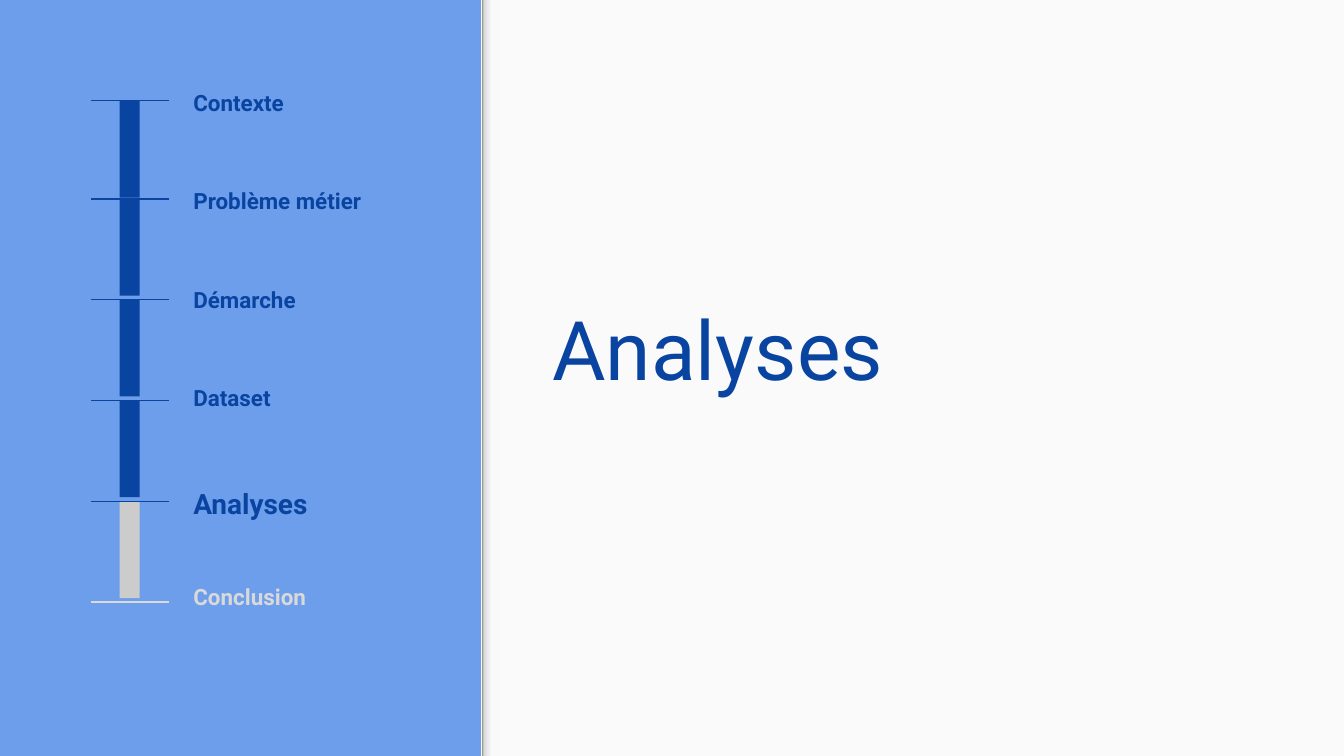
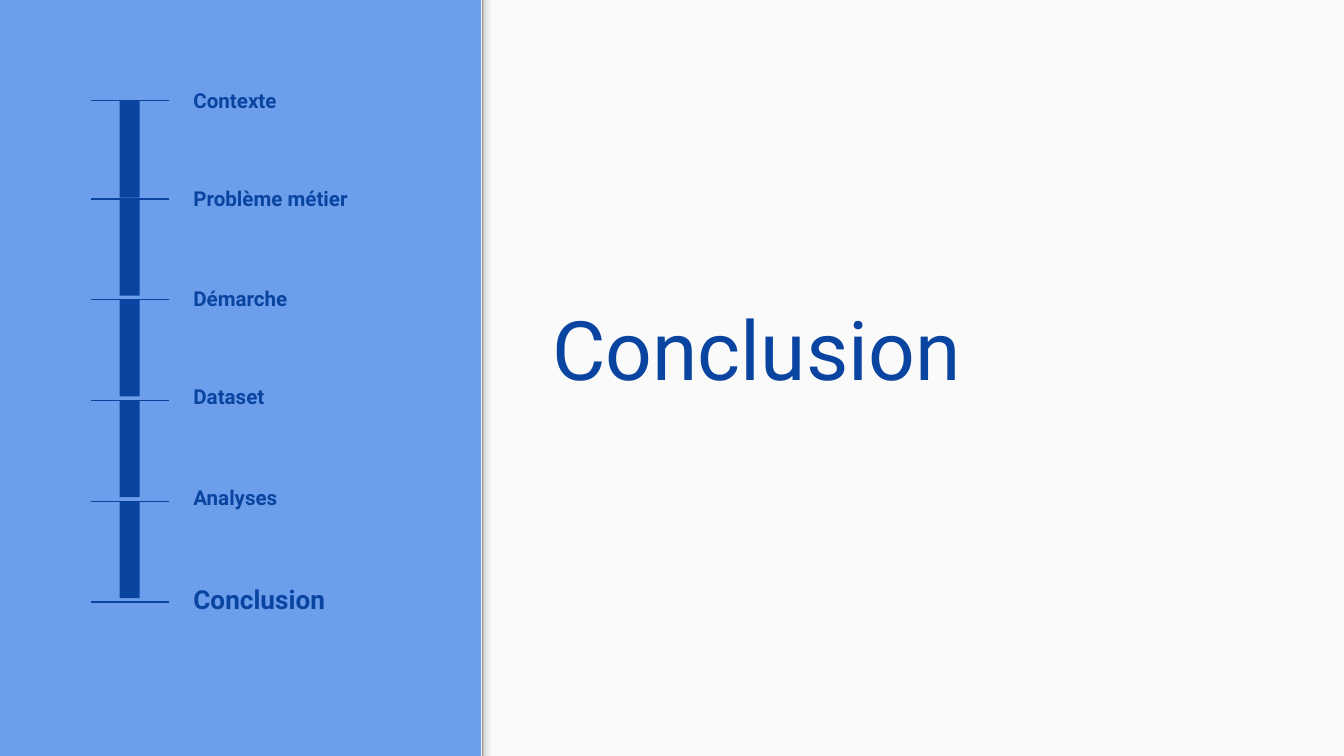
from dataclasses import dataclass

from lxml import etree
from pptx import Presentation
from pptx.dml.color import RGBColor
from pptx.enum.shapes import MSO_CONNECTOR, MSO_SHAPE
from pptx.enum.text import MSO_ANCHOR, MSO_AUTO_SIZE, PP_ALIGN
from pptx.oxml.ns import qn
from pptx.util import Pt

RECTANGLE, STRAIGHT = MSO_SHAPE.RECTANGLE, MSO_CONNECTOR.STRAIGHT
TOP, LEFT = MSO_ANCHOR.TOP, PP_ALIGN.LEFT
GROW = MSO_AUTO_SIZE.SHAPE_TO_FIT_TEXT
PX = 4572  # EMU; 200 px to the inch


@dataclass(frozen=True)
class Theme:
    font: str = "Roboto"
    background: str = "6D9EEB"
    panel: str = "FAFAFA"
    reached: str = "0944A1"
    pending_bar: str = "CCCCCC"
    pending_text: str = "D9D9D9"
    edge_stops: tuple = ((0, "F9F9F9"), (36, "F9F9F9"), (80, "DEDEDE"), (100, "999999"))
    title_size: int = 44
    tick_width: float = 0.75
    current_extra: int = 3


THEME = Theme()
SLIDE_W, SLIDE_H = 2000, 1125
PANEL_X, EDGE_W = 716, 24
TICK_LEFT, TICK_RIGHT = 136, 252
BAR_X, BAR_W, BAR_H = 178, 30, 144
LABEL_X, LABEL_W, LABEL_H = 268, 596, 60
INSET = 20
TITLE_INDENT = 78

# Step name, top of its tick and bar, top of its label
STEPS = [
    ("Contexte", 150, 106),
    ("Problème métier", 296, 252),
    ("Démarche", 446, 400),
    ("Dataset", 596, 546),
    ("Analyses", 746, 696),
    ("Conclusion", 896, 842),
]
# Current step, label size
SECTIONS = [(4, 12), (5, 11)]


def add_block(slide, x, y, w, h, colour):
    """Add a borderless, shadowless rectangle."""
    block = slide.shapes.add_shape(RECTANGLE, x * PX, y * PX, w * PX, h * PX)
    block.shadow.inherit = False
    block.line.fill.background()
    block.fill.solid()
    block.fill.fore_color.rgb = RGBColor.from_string(colour)
    return block


def write(frame, text, size, colour, bold):
    frame.text = text
    frame.word_wrap = True
    frame.vertical_anchor = TOP
    frame.margin_left = frame.margin_right = INSET * PX
    frame.margin_top = frame.margin_bottom = INSET * PX
    paragraph = frame.paragraphs[0]
    paragraph.alignment = LEFT
    font = paragraph.runs[0].font
    font.name, font.size, font.bold = THEME.font, Pt(size), bold
    font.color.rgb = RGBColor.from_string(colour)
    return paragraph


prs = Presentation()
prs.slide_width, prs.slide_height = SLIDE_W * PX, SLIDE_H * PX
master_fill = prs.slide_master.background.fill
master_fill.solid()
master_fill.fore_color.rgb = RGBColor.from_string(THEME.background)
title_only = prs.slide_layouts[5]

for current, label_size in SECTIONS:
    slide = prs.slides.add_slide(title_only)

    # Right panel with its shaded left edge
    add_block(slide, PANEL_X, 0, SLIDE_W - PANEL_X, SLIDE_H, THEME.panel)
    edge_x = PANEL_X + EDGE_W // 2 - SLIDE_H // 2
    edge_y = (SLIDE_H - EDGE_W) // 2
    edge = add_block(slide, edge_x, edge_y, SLIDE_H, EDGE_W, THEME.panel)
    edge.rotation = 270
    edge.fill.gradient()
    edge.fill.gradient_angle = 90
    stops = edge.element.spPr.find(qn("a:gradFill")).find(qn("a:gsLst"))
    stops.clear()
    for position, colour in THEME.edge_stops:
        stop = etree.SubElement(stops, qn("a:gs"), pos=str(position * 1000))
        etree.SubElement(stop, qn("a:srgbClr"), val=colour)

    # Progress timeline
    for index, (name, tick_y, label_y) in enumerate(STEPS):
        colour = THEME.reached if index <= current else THEME.pending_text
        if index < len(STEPS) - 1:
            bar_colour = THEME.reached if index < current else THEME.pending_bar
            add_block(slide, BAR_X, tick_y, BAR_W, BAR_H, bar_colour)

        tick = slide.shapes.add_connector(
            STRAIGHT, TICK_RIGHT * PX, tick_y * PX, TICK_LEFT * PX, tick_y * PX)
        tick.line.color.rgb = RGBColor.from_string(colour)
        tick.line.width = Pt(THEME.tick_width)
        etree.SubElement(tick.element.spPr, qn("a:effectLst"))

        label = slide.shapes.add_textbox(
            LABEL_X * PX, label_y * PX, LABEL_W * PX, LABEL_H * PX)
        size = label_size + (THEME.current_extra if index == current else 0)
        write(label.text_frame, name, size, colour, True).line_spacing = 1.15

    # Section title, brought in front of the panel
    title = slide.shapes.title
    title.left, title.top = 724 * PX, 424 * PX
    title.width, title.height = 1276 * PX, 188 * PX
    heading = write(title.text_frame, STEPS[current][0], THEME.title_size,
                    THEME.reached, False)
    title.text_frame.auto_size = GROW
    indent = heading._p.get_or_add_pPr()
    indent.set("marL", str(TITLE_INDENT * PX))
    indent.set("indent", "0")
    slide.shapes.element.append(title.element)

prs.save("out.pptx")
